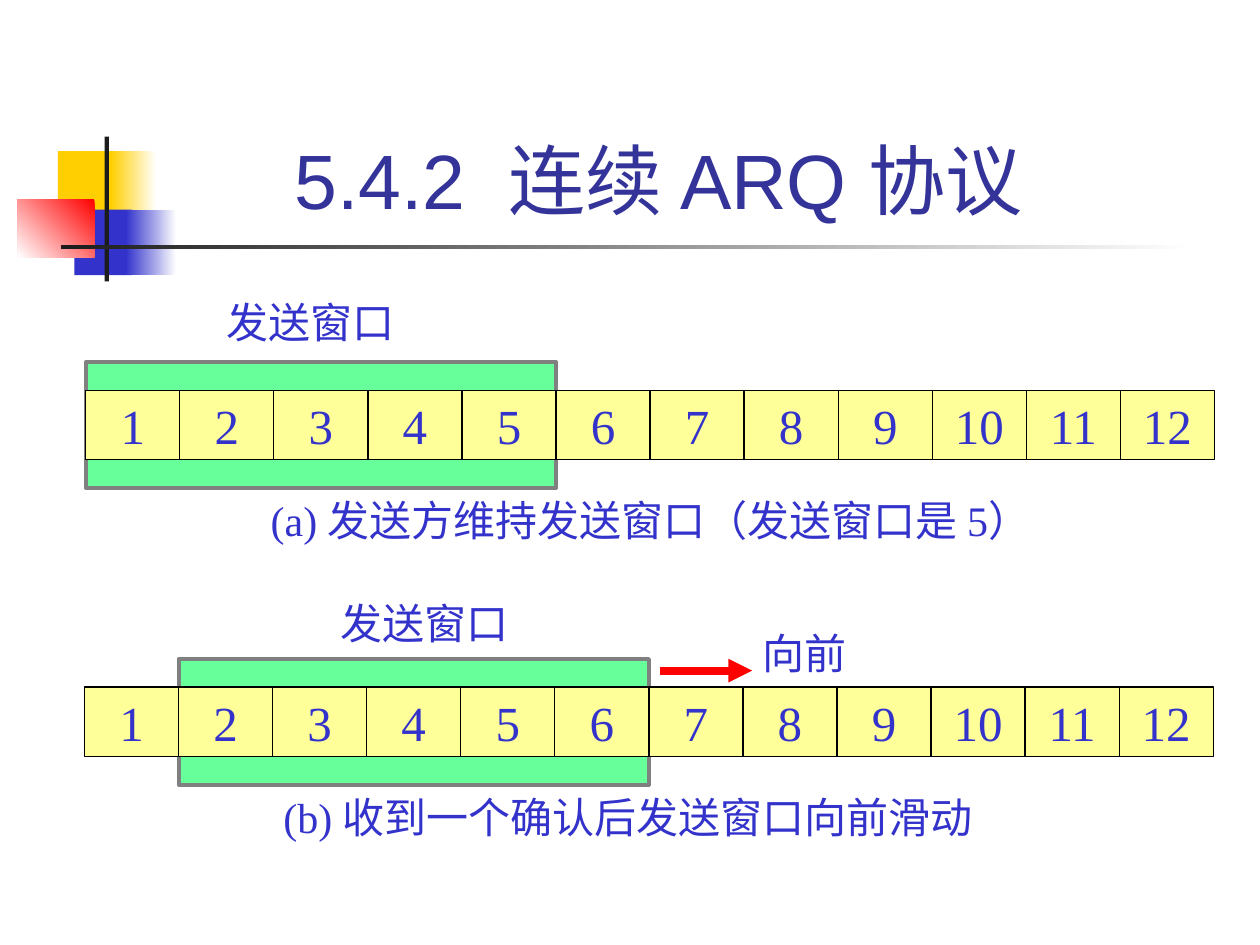
import pptx
import pptx.dml.color
import pptx.enum.shapes
import pptx.enum.text
import pptx.oxml
import pptx.oxml.ns
import pptx.util

Pt = pptx.util.Pt
RGBColor = pptx.dml.color.RGBColor
ALIGN = pptx.enum.text.PP_ALIGN
ANCHOR = pptx.enum.text.MSO_ANCHOR

WHITE = RGBColor(0xFF, 0xFF, 0xFF)
BLACK = RGBColor(0x00, 0x00, 0x00)
CHARCOAL = RGBColor(0x1C, 0x1C, 0x1C)
GRAY = RGBColor(0x80, 0x80, 0x80)
GOLD = RGBColor(0xFF, 0xCF, 0x01)
BLUE = RGBColor(0x33, 0x33, 0xCC)
NAVY = RGBColor(0x33, 0x33, 0x99)
RED = RGBColor(0xFF, 0x00, 0x00)
GREEN = RGBColor(0x66, 0xFF, 0x99)
YELLOW = RGBColor(0xFF, 0xFF, 0x99)

TITLE = "5.4.2  连续 ARQ 协议 "
# left, top, width, height, gradient colours (one colour is a solid fill), angle
DECORATION = [
    (33.1, 86.4, 34.6, 37.4, [GOLD], 0),
    (63.4, 86.4, 25.9, 37.4, [WHITE, GOLD], 180),
    (42.5, 119.8, 33.1, 37.4, [BLUE], 0),
    (72, 119.8, 28.8, 37.4, [WHITE, BLUE], 180),
    (10.1, 113.8, 43.9, 33.1, [RED, WHITE], 225),
    (59.8, 78, 2.5, 82.8, [CHARCOAL], 0),
    (34.6, 140.1, 648, 2.5, [WHITE, CHARCOAL], 180),
]
FRAME_COUNT = 12
WINDOW_SIZE = 5
# left and top of the frame row, index of the first frame in the window
ROWS = [(49, 223, 0), (48.3, 392.6, 1)]
# text, left, top, width
LABELS = [
    ("发送窗口", 122.4, 166, 116),
    ("(a) 发送方维持发送窗口（发送窗口是 5）", 147.6, 279, 470),
    ("发送窗口", 187.4, 337.7, 116),
    ("(b) 收到一个确认后发送窗口向前滑动", 154.8, 448.6, 420),
    ("向前", 428.4, 355, 68),
]
CELL_WIDTH, CELL_HEIGHT = 53.75, 39.8
WINDOW_MARGIN = 16

presentation = pptx.Presentation()
presentation.slide_width, presentation.slide_height = Pt(720), Pt(540)
slide = presentation.slides.add_slide(presentation.slide_layouts[6])


def add_rectangle(left, top, width, height, colors, angle=0, line=None, line_width=0.75):
    shape = slide.shapes.add_shape(
        pptx.enum.shapes.MSO_SHAPE.RECTANGLE, Pt(left), Pt(top), Pt(width), Pt(height))
    shape.shadow.inherit = False
    if len(colors) == 1:
        shape.fill.solid()
        shape.fill.fore_color.rgb = colors[0]
    else:
        shape.fill.gradient()
        shape.fill.gradient_angle = angle
        for stop, color in zip(shape.fill.gradient_stops, colors):
            stop.color.rgb = color
    if line is None:
        shape.line.fill.background()
    else:
        shape.line.color.rgb = line
        shape.line.width = Pt(line_width)


def add_text(text, left, top, width, height, size, color=BLUE, font="Times New Roman",
             align=ALIGN.LEFT, anchor=ANCHOR.TOP):
    text_frame = slide.shapes.add_textbox(
        Pt(left), Pt(top), Pt(width), Pt(height)).text_frame
    text_frame.text = text
    text_frame.word_wrap = True
    text_frame.vertical_anchor = anchor
    paragraph = text_frame.paragraphs[0]
    paragraph.alignment = align
    run_font = paragraph.runs[0].font
    run_font.name, run_font.size = font, Pt(size)
    run_font.color.rgb = color


def add_line(x1, y1, x2, y2, color, width):
    connector = slide.shapes.add_connector(
        pptx.enum.shapes.MSO_CONNECTOR.STRAIGHT, Pt(x1), Pt(y1), Pt(x2), Pt(y2))
    connector.line.color.rgb = color
    connector.line.width = Pt(width)
    properties = connector.element.spPr
    properties.append(pptx.oxml.parse_xml(f"<a:effectLst {pptx.oxml.ns.nsdecls('a')}/>"))
    return connector


def add_frame_row(left, top, window_start):
    """Draw the send window behind a row of numbered frames."""
    add_rectangle(left + window_start * CELL_WIDTH, top - WINDOW_MARGIN,
                  WINDOW_SIZE * CELL_WIDTH, CELL_HEIGHT + 2 * WINDOW_MARGIN,
                  [GREEN], line=GRAY, line_width=2.25)
    add_rectangle(left, top, FRAME_COUNT * CELL_WIDTH, CELL_HEIGHT, [YELLOW], line=BLACK)
    for index in range(FRAME_COUNT):
        x = left + index * CELL_WIDTH
        add_text(str(index + 1), x, top, CELL_WIDTH, CELL_HEIGHT, 28,
                 align=ALIGN.CENTER, anchor=ANCHOR.MIDDLE)
        if index:
            add_line(x, top, x, top + CELL_HEIGHT, BLACK, 0.75)


for left, top, width, height, colors, angle in DECORATION:
    add_rectangle(left, top, width, height, colors, angle)
add_text(TITLE, 90.7, 16.6, 581, 115.2, 44, NAVY, "Arial", ALIGN.CENTER, ANCHOR.BOTTOM)
for row in ROWS:
    add_frame_row(*row)
for text, left, top, width in LABELS:
    add_text(text, left, top, width, 36, 24)

forward_arrow = add_line(377.3, 383.2, 429.8, 383.2, RED, 4.5)
arrow_line = forward_arrow.element.spPr.find(pptx.oxml.ns.qn("a:ln"))
arrow_line.append(pptx.oxml.parse_xml(
    f'<a:tailEnd {pptx.oxml.ns.nsdecls("a")} type="triangle"/>'))

presentation.save("out.pptx")
